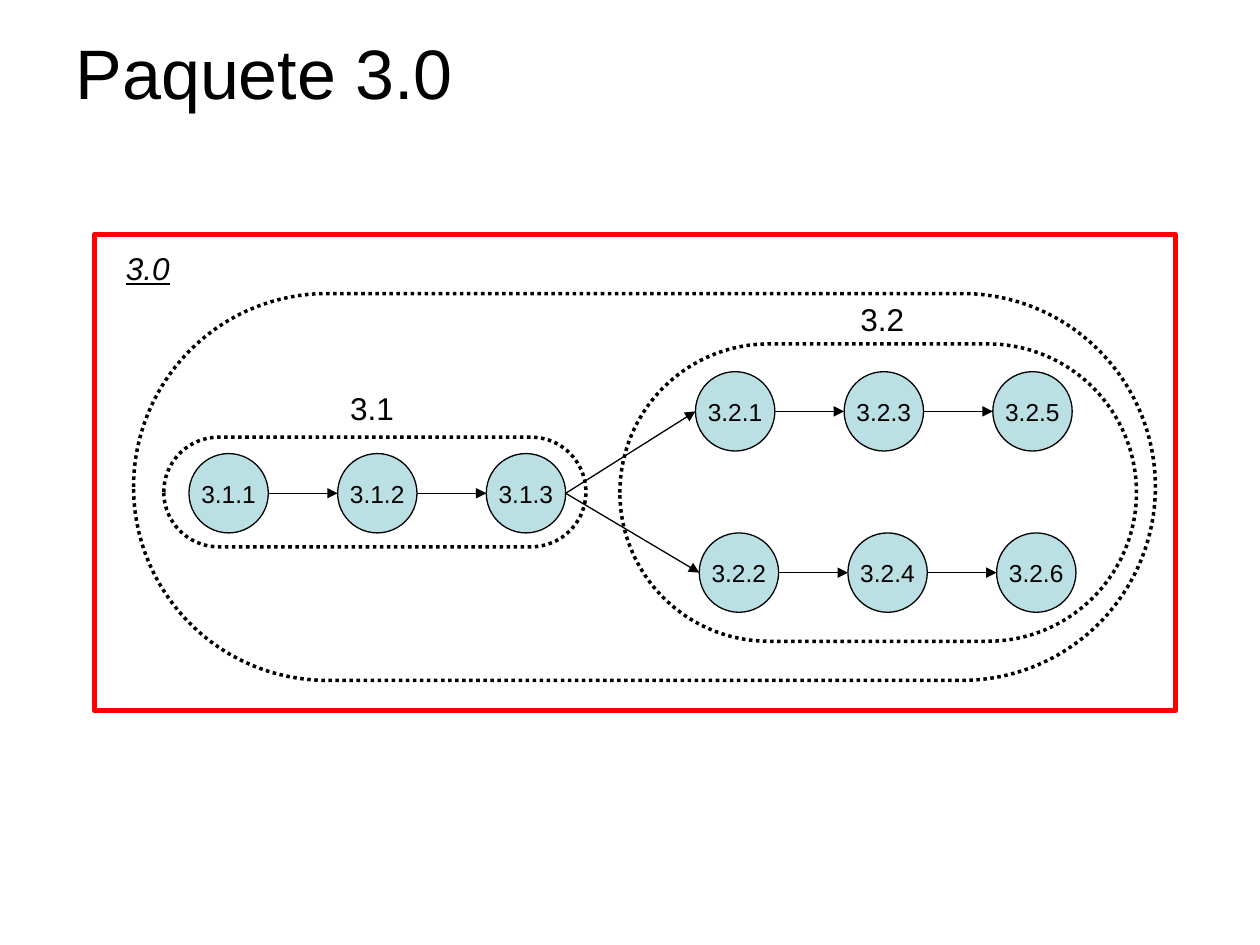
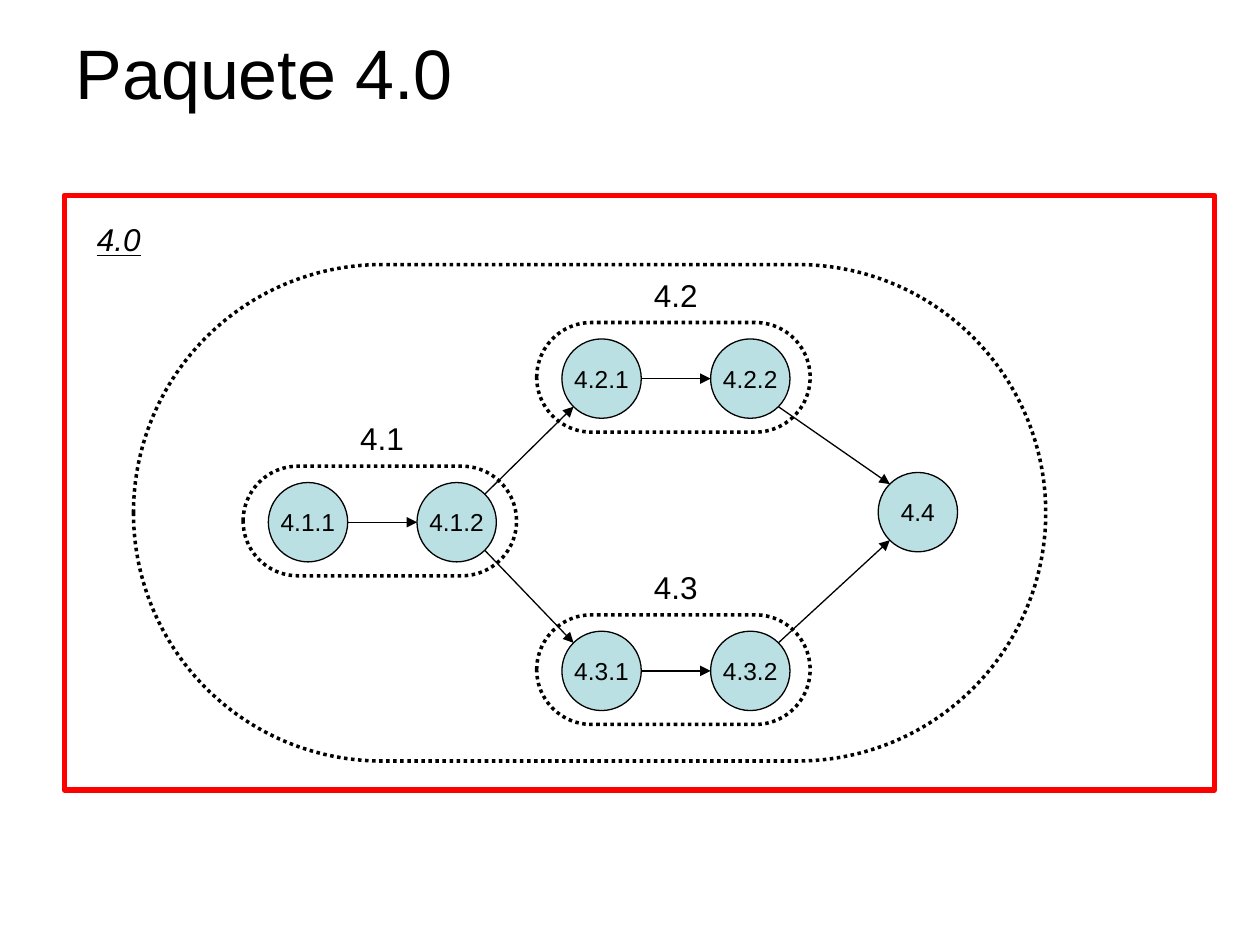
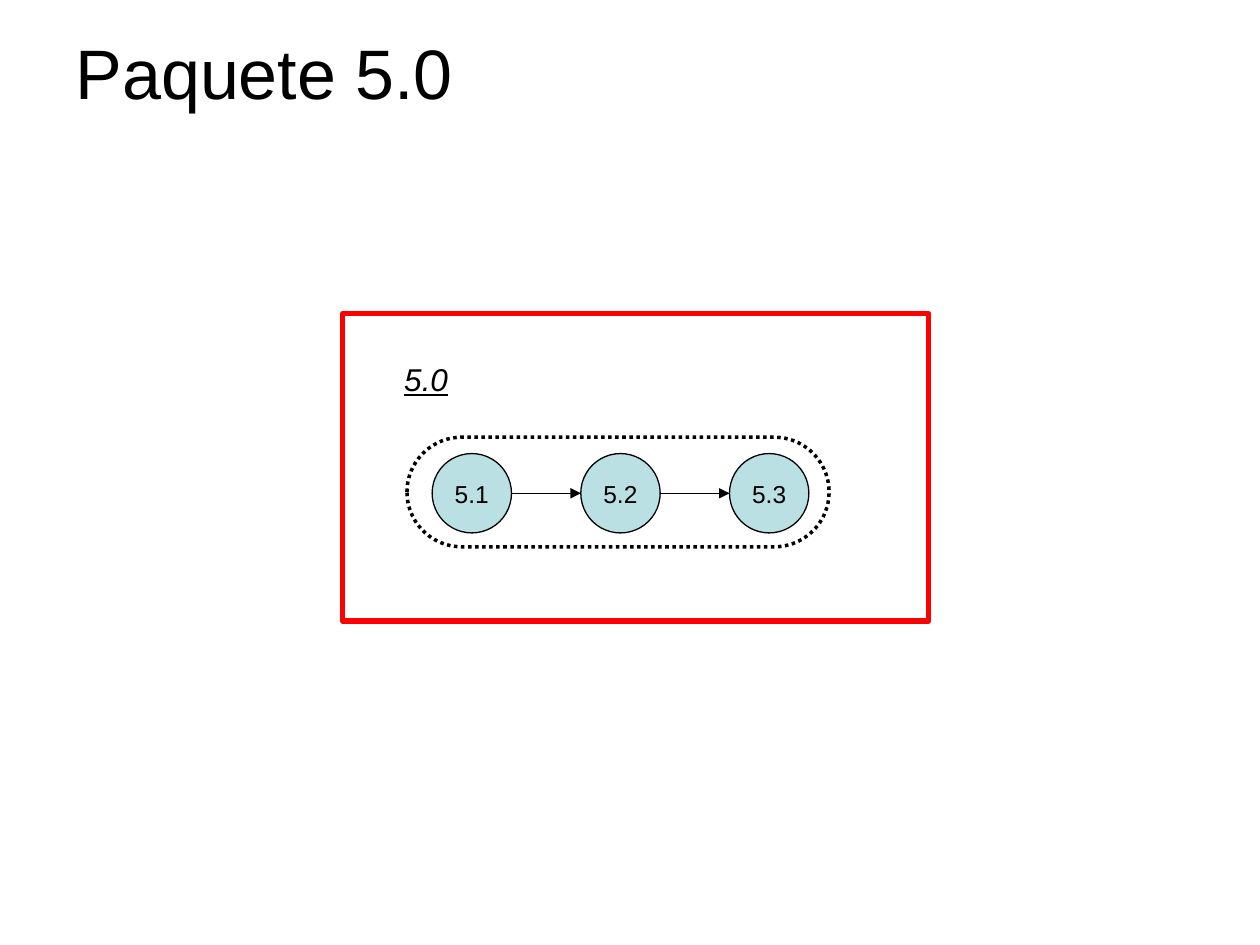
import math
from dataclasses import dataclass

import pptx
import pptx.dml.color
import pptx.enum.dml
import pptx.enum.shapes
import pptx.enum.text
import pptx.oxml
import pptx.oxml.ns
import pptx.util

Inches = pptx.util.Inches
Pt = pptx.util.Pt
MSO_SHAPE = pptx.enum.shapes.MSO_SHAPE
ANCHOR = pptx.enum.text.MSO_ANCHOR
ALIGN = pptx.enum.text.PP_ALIGN
AUTO_SIZE = pptx.enum.text.MSO_AUTO_SIZE


@dataclass(frozen=True)
class Theme:
    """Colours, type sizes, line widths and the circle grid."""
    font: str = "Arial"
    ink: str = "000000"
    node: str = "BBE0E3"
    frame: str = "FF0000"
    title_size: float = 40
    label_size: float = 18
    node_size: float = 14
    thin: float = 0.74
    dotted: float = 2
    thick: float = 3
    diameter: float = 0.63
    pitch: float = 1.18


T = Theme()
RIGHT, LEFT = 0, 180
UP_RIGHT, DOWN_RIGHT, UP_LEFT, DOWN_LEFT = -45, 45, -135, 135


def rgb(value):
    """Turn a hex string into a colour."""
    return pptx.dml.color.RGBColor.from_string(value)


def apply(obj, values):
    """Set each attribute named in a dict."""
    for name, value in values.items():
        setattr(obj, name, value)


def write(sp, text, size, frame, align=ALIGN.LEFT, **font):
    """Write one formatted paragraph into a shape."""
    tf = sp.text_frame
    apply(tf, frame)
    p = tf.paragraphs[0]
    p.alignment = align
    r = p.add_run()
    r.text = text
    apply(r.font, {"name": T.font, "size": Pt(size), **font})
    r.font.color.rgb = rgb(T.ink)


def stroke(sp, color, width, dash=None):
    """Format the line of a shape or connector."""
    sp.line.color.rgb = rgb(color)
    apply(sp.line, {"width": Pt(width), "dash_style": dash})


def add_slide(prs, title):
    """Add a title-only slide with its title in place."""
    slide = prs.slides.add_slide(prs.slide_layouts[5])
    sp = slide.shapes.title
    apply(sp, {"left": Inches(0.5), "top": Inches(0.3),
               "width": Inches(9), "height": Inches(0.54)})
    write(sp, title, T.title_size,
          {"vertical_anchor": ANCHOR.MIDDLE, "word_wrap": True,
           "auto_size": AUTO_SIZE.NONE})
    return slide


def add_label(slide, text, left, top, **font):
    """Add a one-line label that fits its text."""
    sp = slide.shapes.add_textbox(
        Inches(left), Inches(top), Inches(0.55), Inches(0.4))
    write(sp, text, T.label_size,
          {"word_wrap": False, "auto_size": AUTO_SIZE.SHAPE_TO_FIT_TEXT}, **font)


def add_package_label(slide, text, left, top):
    """Add the italic underlined name of a package."""
    add_label(slide, text, left, top, italic=True, underline=True)


def add_shape(slide, kind, left, top, width, height):
    """Add a preset shape without shadow."""
    sp = slide.shapes.add_shape(
        kind, Inches(left), Inches(top), Inches(width), Inches(height))
    sp.shadow.inherit = False
    return sp


def add_frame(slide, left, top, width, height):
    """Add the red rectangle around a package."""
    sp = add_shape(slide, MSO_SHAPE.RECTANGLE, left, top, width, height)
    sp.fill.background()
    stroke(sp, T.frame, T.thick)


def add_pill(slide, left, top, width, height):
    """Add a dotted outline with fully rounded ends."""
    sp = add_shape(slide, MSO_SHAPE.ROUNDED_RECTANGLE, left, top, width, height)
    sp.adjustments[0] = 0.5
    sp.fill.background()
    stroke(sp, T.ink, T.dotted, pptx.enum.dml.MSO_LINE.ROUND_DOT)


def add_chain_pill(slide, left, top, count):
    """Add a dotted outline around a chain of circles."""
    add_pill(slide, left - 0.2, top - 0.13, T.pitch * (count - 1) + 0.99, 0.87)


def add_node(slide, text, left, top):
    """Add one activity circle."""
    sp = add_shape(slide, MSO_SHAPE.OVAL, left, top, T.diameter, T.diameter)
    sp.fill.solid()
    sp.fill.fore_color.rgb = rgb(T.node)
    stroke(sp, T.ink, T.thin)
    write(sp, text, T.node_size,
          {"vertical_anchor": ANCHOR.MIDDLE, "word_wrap": False}, ALIGN.CENTER)
    return sp


def rim(node, angle):
    """Return the point of a circle at an angle in degrees, clockwise."""
    radius, a = node.width / 2, math.radians(angle)
    return (round(node.left + radius * (1 + math.cos(a))),
            round(node.top + radius * (1 + math.sin(a))))


def add_arrow(slide, start, end, leave=RIGHT, enter=LEFT):
    """Join the rims of two circles with an arrow."""
    cx = slide.shapes.add_connector(
        pptx.enum.shapes.MSO_CONNECTOR.STRAIGHT, *rim(start, leave), *rim(end, enter))
    stroke(cx, T.ink, T.thin)
    qn, element = pptx.oxml.ns.qn, pptx.oxml.parse_xml
    ns = pptx.oxml.ns.nsdecls("a")
    properties = cx.element.find(qn("p:spPr"))
    properties.find(qn("a:ln")).append(element(f'<a:tailEnd {ns} type="triangle"/>'))
    properties.append(element(f"<a:effectLst {ns}/>"))


def add_chain(slide, labels, left, top):
    """Add a row of circles joined by arrows."""
    nodes = [add_node(slide, text, left + i * T.pitch, top)
             for i, text in enumerate(labels)]
    for start, end in zip(nodes, nodes[1:]):
        add_arrow(slide, start, end)
    return nodes


def build_package_3(prs):
    """Build the slide of package 3.0."""
    slide = add_slide(prs, "Paquete 3.0")
    add_package_label(slide, "3.0", 0.9, 1.93)
    first = add_chain(slide, ["3.1.1", "3.1.2", "3.1.3"], 1.5, 3.6)
    add_label(slide, "3.1", 2.68, 3.04)
    upper = add_chain(slide, ["3.2.1", "3.2.3", "3.2.5"], 5.52, 2.95)
    lower = add_chain(slide, ["3.2.2", "3.2.4", "3.2.6"], 5.55, 4.23)
    add_label(slide, "3.2", 6.73, 2.33)
    for branch in (upper, lower):
        add_arrow(slide, first[-1], branch[0])
    add_pill(slide, 4.92, 2.73, 4.1, 2.36)
    add_chain_pill(slide, 1.5, 3.6, 3)
    add_pill(slide, 1.06, 2.33, 8.11, 3.07)
    add_frame(slide, 0.75, 1.86, 8.58, 3.78)


def build_package_4(prs):
    """Build the slide of package 4.0."""
    slide = add_slide(prs, "Paquete 4.0")
    groups = [("4.1", 2.13, 3.83), ("4.2", 4.46, 2.69), ("4.3", 4.46, 5.01)]
    chains = []
    for name, left, top in groups:
        chains.append(add_chain(slide, [f"{name}.1", f"{name}.2"], left, top))
        add_label(slide, name, left + 0.63, top - 0.55)
    first, upper, lower = chains
    last = add_node(slide, "4.4", 6.97, 3.75)
    add_arrow(slide, first[-1], upper[0], UP_RIGHT, DOWN_LEFT)
    add_arrow(slide, first[-1], lower[0], DOWN_RIGHT, UP_LEFT)
    add_arrow(slide, upper[-1], last, DOWN_RIGHT, UP_LEFT)
    add_arrow(slide, lower[-1], last, UP_RIGHT, DOWN_LEFT)
    for name, left, top in groups:
        add_chain_pill(slide, left, top, 2)
    add_pill(slide, 1.06, 2.1, 7.24, 3.94)
    add_package_label(slide, "4.0", 0.67, 1.7)
    add_frame(slide, 0.51, 1.55, 9.13, 4.72)


def build_package_5(prs):
    """Build the slide of package 5.0."""
    slide = add_slide(prs, "Paquete 5.0")
    add_chain(slide, ["5.1", "5.2", "5.3"], 3.43, 3.6)
    add_chain_pill(slide, 3.43, 3.6, 3)
    add_package_label(slide, "5.0", 3.11, 2.81)
    add_frame(slide, 2.72, 2.49, 4.65, 2.44)


def main():
    """Build and save the presentation."""
    prs = pptx.Presentation()
    apply(prs, {"slide_width": Inches(10), "slide_height": Inches(7.5)})
    build_package_3(prs)
    build_package_4(prs)
    build_package_5(prs)
    prs.save("out.pptx")


main()
